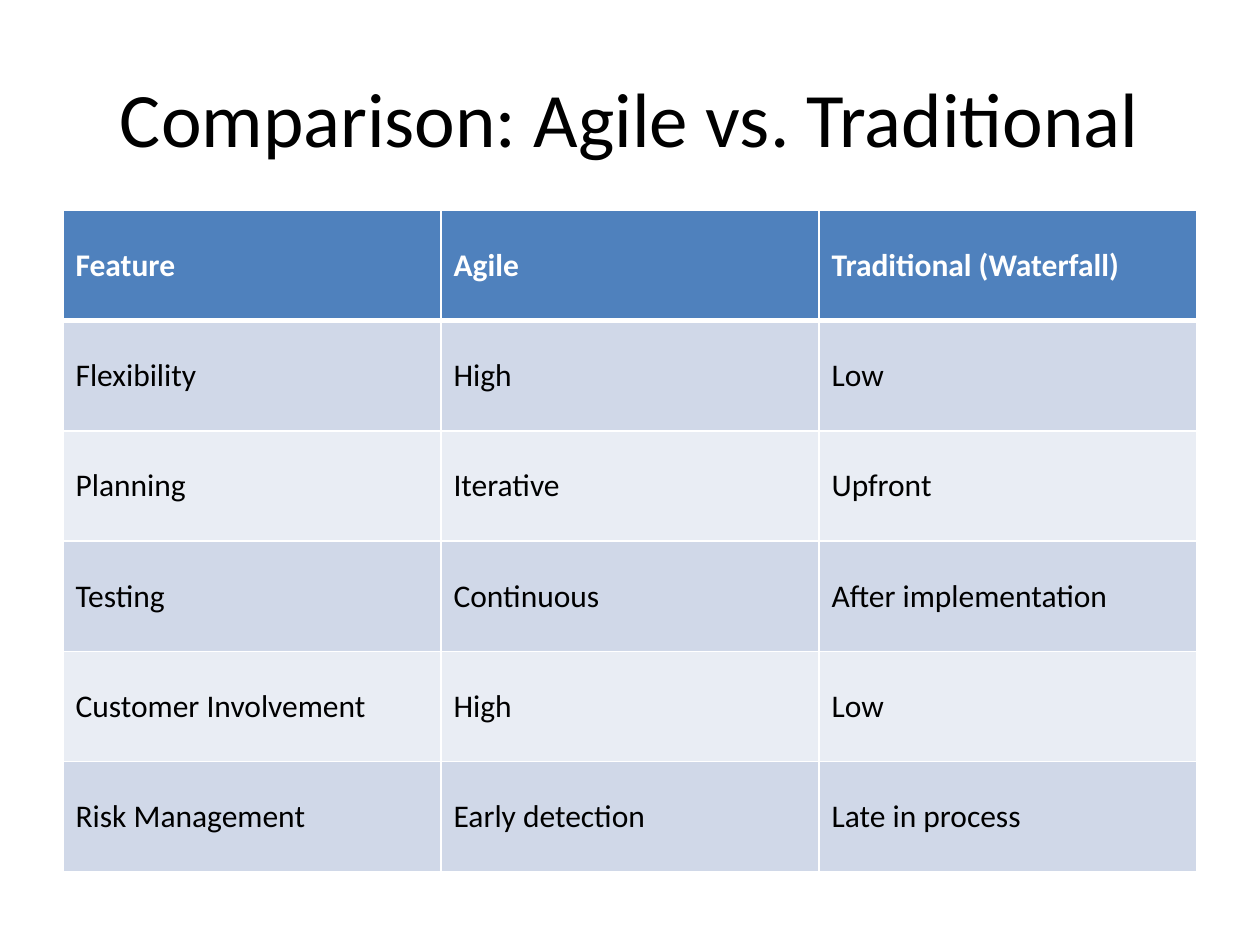
from lxml import etree
from pptx import Presentation
from pptx.dml.color import RGBColor
from pptx.enum.text import MSO_ANCHOR, PP_ALIGN
from pptx.oxml.ns import qn
from pptx.util import Cm, Pt

MIDDLE = MSO_ANCHOR.MIDDLE
CENTER = PP_ALIGN.CENTER
BLACK = RGBColor(0x00, 0x00, 0x00)
WHITE = RGBColor(0xFF, 0xFF, 0xFF)
BLUE = RGBColor(0x4F, 0x81, 0xBD)
BAND_DARK = RGBColor(0xD0, 0xD8, 0xE8)
BAND_LIGHT = RGBColor(0xE9, 0xED, 0xF4)

ROWS = [
    ("Feature", "Agile", "Traditional (Waterfall)"),
    ("Flexibility", "High", "Low"),
    ("Planning", "Iterative", "Upfront"),
    ("Testing", "Continuous", "After implementation"),
    ("Customer Involvement", "High", "Low"),
    ("Risk Management", "Early detection", "Late in process"),
]


class Deck:
    """Holds the style and the current slide."""

    font = "Calibri"

    def __init__(self, width, height):
        self.prs = Presentation()
        self.prs.slide_width, self.prs.slide_height = width, height
        self.s = self.prs.slides.add_slide(self.prs.slide_layouts[6])

    def format(self, p, size, color, bold=False):
        for r in p.runs:
            r.font.name = self.font
            r.font.size = Pt(size)
            r.font.bold = bold
            r.font.color.rgb = color

    def title(self, text, left, top, width, height):
        tf = self.s.shapes.add_textbox(left, top, width, height).text_frame
        tf.word_wrap = True
        tf.vertical_anchor = MIDDLE
        tf.text = text
        p = tf.paragraphs[0]
        p.alignment = CENTER
        self.format(p, 44, BLACK)

    def border(self, cell, side, width):
        tcPr = cell._tc.get_or_add_tcPr()
        ln = etree.SubElement(tcPr, qn(f"a:ln{side}"), w=str(Pt(width)))
        fill = etree.SubElement(ln, qn("a:solidFill"))
        etree.SubElement(fill, qn("a:srgbClr"), val=str(WHITE))

    def table(self, rows, left, top, width, height):
        shape = self.s.shapes.add_table(len(rows), len(rows[0]), left, top, width, height)
        for i, row in enumerate(rows):
            header = i == 0
            fill = BLUE if header else BAND_DARK if i % 2 else BAND_LIGHT
            for j, text in enumerate(row):
                cell = shape.table.cell(i, j)
                cell.text_frame.text = text
                cell.vertical_anchor = MIDDLE
                self.format(cell.text_frame.paragraphs[0], 18, WHITE if header else BLACK, header)
                for side in "LRTB":
                    thick = (i, side) in ((0, "B"), (1, "T"))
                    self.border(cell, side, 3 if thick else 1)
                cell.fill.solid()
                cell.fill.fore_color.rgb = fill


def main():
    deck = Deck(Cm(25.4), Cm(19.05))
    deck.title("Comparison: Agile vs. Traditional", Cm(1.27), Cm(0.76), Cm(22.86), Cm(3.18))
    deck.table(ROWS, Cm(1.27), Cm(4.24), Cm(22.86), Cm(13.34))
    deck.prs.save("out.pptx")


if __name__ == "__main__":
    main()
